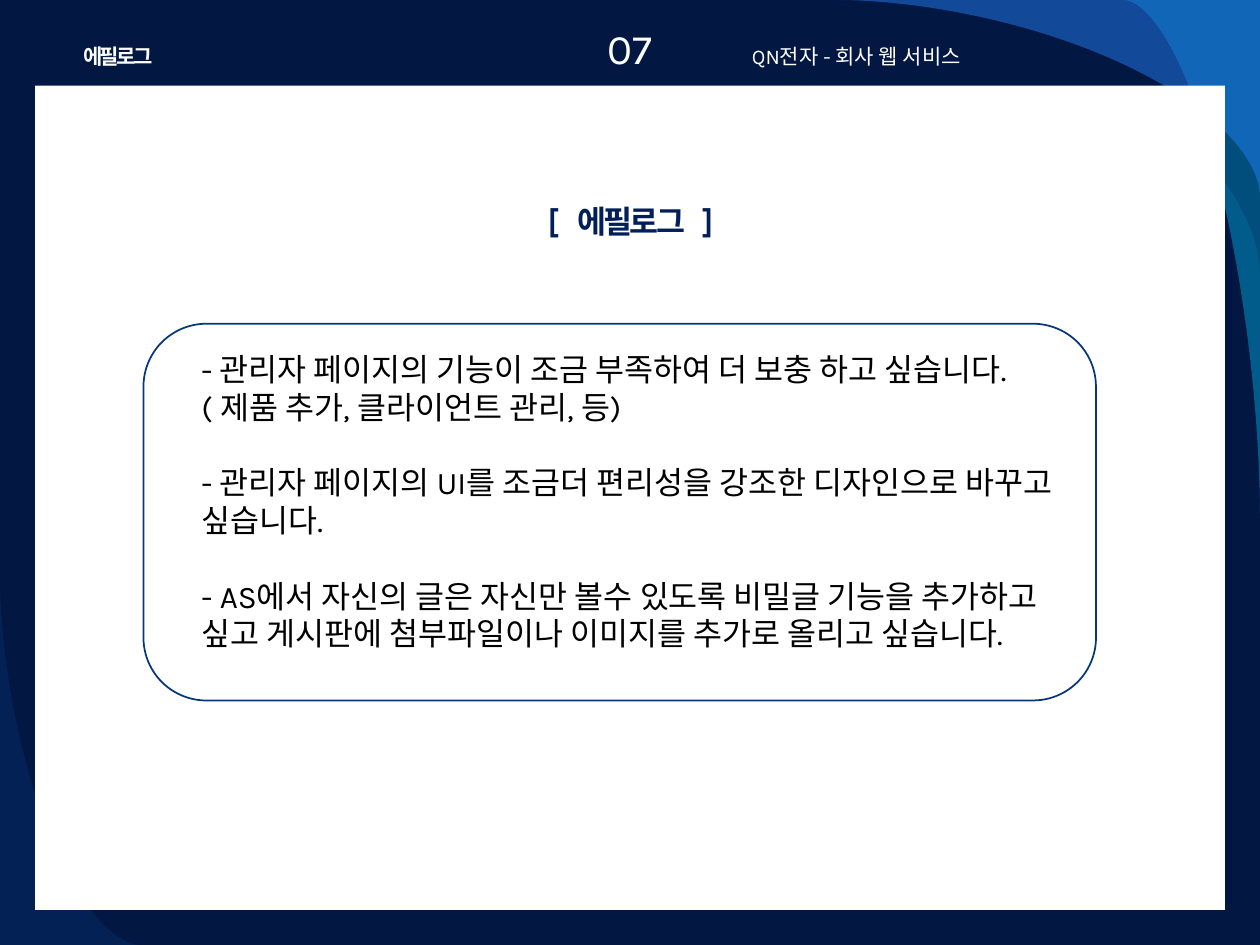
from math import cos, pi, sin

from lxml import etree
from pptx import Presentation
from pptx.dml.color import RGBColor
from pptx.enum.shapes import MSO_SHAPE
from pptx.enum.text import MSO_ANCHOR, MSO_AUTO_SIZE, PP_ALIGN
from pptx.oxml.ns import qn
from pptx.util import Pt

RECT, ROUNDED = MSO_SHAPE.RECTANGLE, MSO_SHAPE.ROUNDED_RECTANGLE
LEFT, CENTER, JUSTIFY = PP_ALIGN.LEFT, PP_ALIGN.CENTER, PP_ALIGN.JUSTIFY
TOP, NO_FIT = MSO_ANCHOR.TOP, MSO_AUTO_SIZE.NONE
WIDTH, HEIGHT = 720, 540
NAVY, WHITE, BLACK = "021741", "FFFFFF", "000000"

SWOOSHES = [
    (WIDTH, 0, -77.8, 293.8, "00B1E9", 45),
    (WIDTH, 0, -240, 154.8, NAVY, 20),
    (WIDTH, 0, -240, 111.6, "247FF4", 49),
    (0, HEIGHT, 270, -102.2, NAVY, 20),
    (0, HEIGHT, 79.9, -210.2, "084AA1", 20),
]
WISHES = [
    "- 관리자 페이지의 기능이 조금 부족하여 더 보충 하고 싶습니다.( 제품 추가, 클라이언트 관리, 등)",
    "- 관리자 페이지의 UI를 조금더 편리성을 강조한 디자인으로 바꾸고 싶습니다.",
    "- AS에서 자신의 글은 자신만 볼수 있도록 비밀글 기능을 추가하고 싶고 게시판에 첨부파일이나 이미지를 추가로 올리고 싶습니다.",
]


def rgb(color):
    """Turn a hex string into a colour."""
    return RGBColor.from_string(color)


def paint(sp, color, line=None):
    """Give a shape a flat fill and an optional thin outline."""
    sp.shadow.inherit = False
    sp.fill.solid()
    sp.fill.fore_color.rgb = rgb(color)
    if line:
        sp.line.color.rgb = rgb(line)
        sp.line.width = Pt(1)
    else:
        sp.line.fill.background()


def add_panel(s, kind, box, color, line=None):
    """Add a preset shape."""
    sp = s.shapes.add_shape(kind, *map(Pt, box))
    paint(sp, color, line)
    return sp


def add_swoosh(s, x, y, w, h, color, opacity, steps=48, power=1.75):
    """Add a translucent corner bounded by a superellipse arc."""
    angles = [pi / 2 * i / steps for i in range(steps + 1)]
    arc = [(x + w * (1 - abs(cos(a)) ** (2 / power)),
            y + h * (1 - abs(sin(a)) ** (2 / power))) for a in angles]
    builder = s.shapes.build_freeform(Pt(x), Pt(y))
    builder.add_line_segments([(Pt(px), Pt(py)) for px, py in arc])
    sp = builder.convert_to_shape()
    paint(sp, color)
    clr = sp.element.spPr.find(qn("a:solidFill"))[0]
    etree.SubElement(clr, qn("a:alpha")).set("val", str(opacity * 1000))


def add_run(p, text, size, color, bold=False, spacing=0):
    """Add a formatted run, with letter spacing in points."""
    r = p.add_run()
    r.text = text
    for name, value in dict(name="Karla", size=Pt(size), bold=bold).items():
        setattr(r.font, name, value)
    r.font.color.rgb = rgb(color)
    if spacing:
        r.font._element.set("spc", str(int(spacing * 100)))


def set_frame(tf, wrap=True):
    """Anchor a text frame at the top at a fixed size."""
    frame = dict(word_wrap=wrap, auto_size=NO_FIT, vertical_anchor=TOP)
    for name, value in frame.items():
        setattr(tf, name, value)


def add_text(s, box, texts, size, color, align=LEFT, wrap=True, gap=0, **fmt):
    """Add a text box with one paragraph per text."""
    tf = s.shapes.add_textbox(*map(Pt, box)).text_frame
    set_frame(tf, wrap)
    for i, text in enumerate(texts):
        p = tf.add_paragraph() if i else tf.paragraphs[0]
        p.alignment = align
        p.space_before = Pt(gap if i else 0)
        add_run(p, text, size, color, **fmt)


def set_title(s, box, text):
    """Place the bracketed title in front of the panels."""
    sp = s.shapes.title
    for name, value in zip(("left", "top", "width", "height"), box):
        setattr(sp, name, Pt(value))
    set_frame(sp.text_frame)
    p = sp.text_frame.paragraphs[0]
    p.alignment = CENTER
    for part, spacing in (("[", -1.5), (" ", 6), (text, -1.5), (" ", 6), ("]", -1.5)):
        add_run(p, part, 18, "031F57", True, spacing)
    sp.element.getparent().append(sp.element)


def main():
    """Build the epilogue slide."""
    prs = Presentation()
    prs.slide_width, prs.slide_height = Pt(WIDTH), Pt(HEIGHT)
    s = prs.slides.add_slide(prs.slide_layouts[5])
    s.background.fill.solid()
    s.background.fill.fore_color.rgb = rgb(NAVY)
    for swoosh in SWOOSHES:
        add_swoosh(s, *swoosh)
    add_panel(s, RECT, (20, 49, 680, 471), WHITE)
    add_text(s, (39.6, 21.6, 55.4, 21.6), ["에필로그"], 12, WHITE, CENTER,
             wrap=False, bold=True, spacing=-1.5)
    add_text(s, (317.5, 9.4, 85, 36), ["07"], 24, WHITE, CENTER)
    sp = add_panel(s, ROUNDED, (82, 185, 544.3, 215.3), WHITE, "063879")
    sp.adjustments[0] = 0.167
    add_text(s, (108, 196.6, 504.7, 200.9), WISHES, 18, BLACK, gap=21.5)
    set_title(s, (195.8, 111.6, 329, 28.8), "에필로그")
    add_text(s, (422.6, 21.6, 283.7, 21.6), ["QN전자 - 회사 웹 서비스"], 12, WHITE, JUSTIFY)
    prs.save("out.pptx")


if __name__ == "__main__":
    main()
